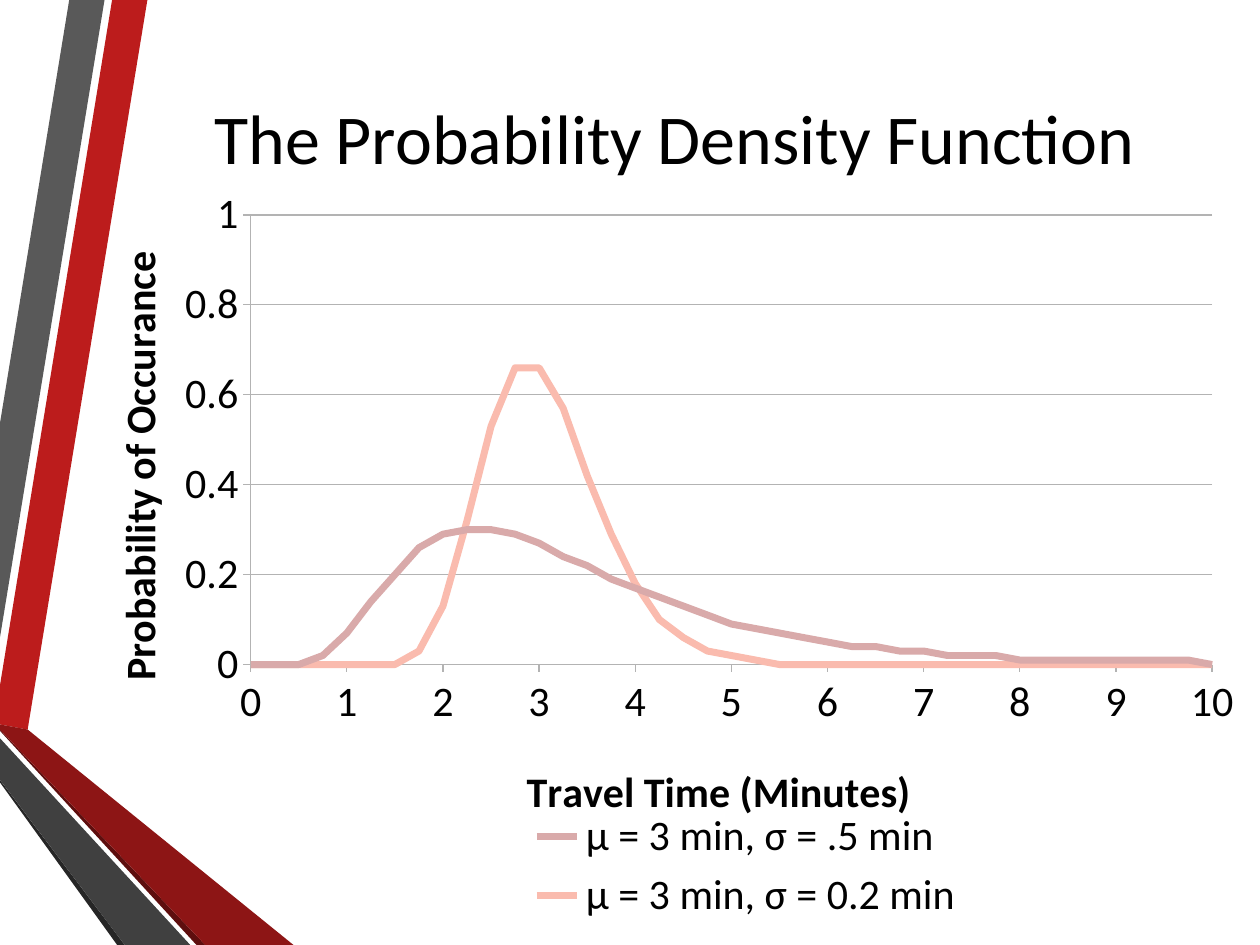
import math

from lxml import etree
from pptx import Presentation
from pptx.chart.data import XyChartData
from pptx.dml.color import RGBColor
from pptx.enum import chart as charts, text
from pptx.oxml.ns import qn
from pptx.util import Inches, Pt

FONT = "Calibri"
BLACK = "000000"
GREY = "B3B3B3"
RIBBONS = [
    ("BC1C1C", [(0, 5.44), (0, 5.75), (0.22, 5.79), (1.17, 0), (0.89, 0)]),
    ("595959", [(0.83, 0), (0.55, 0), (0, 3.36), (0, 5.06)]),
    ("262626", [(0, 6.19), (0, 6.21), (0.93, 7.5), (0.99, 7.5)]),
    ("5E0E0E", [(0, 5.79), (0, 5.8), (1.56, 7.5), (1.63, 7.5)]),
    ("8D1515", [(0, 5.79), (1.63, 7.5), (2.33, 7.5), (0.22, 5.79), (0, 5.75)]),
    ("404040", [(0, 6.19), (0.99, 7.5), (1.51, 7.5), (0, 5.86)]),
]
CURVES = [
    ("μ = 3 min, σ = .5 min", 0.5, "D9AAAA"),
    ("μ = 3 min, σ = 0.2 min", 0.2, "FABBAE"),
]


def color(value):
    return RGBColor.from_string(value)


def style_font(font, size, bold=False):
    font.name = FONT
    font.size = Pt(size)
    font.bold = bold
    font.color.rgb = color(BLACK)


def add_ribbon(page, fill, points):
    corners = [(Inches(x), Inches(y)) for x, y in points]
    builder = page.shapes.build_freeform(*corners[0])
    builder.add_line_segments(corners[1:], close=True)
    ribbon = builder.convert_to_shape()
    ribbon.shadow.inherit = False
    ribbon.fill.solid()
    ribbon.fill.fore_color.rgb = color(fill)
    ribbon.line.fill.background()


def add_title(page, words):
    box = page.shapes.add_textbox(Inches(1.14), 0, Inches(8.43), Inches(2.17))
    frame = box.text_frame
    frame.word_wrap = True
    frame.vertical_anchor = text.MSO_ANCHOR.MIDDLE
    frame.text = words
    para = frame.paragraphs[0]
    para.alignment = text.PP_ALIGN.CENTER
    style_font(para.runs[0].font, 40)


def place(element, **fractions):
    for old in element.findall(qn("c:layout")):
        element.remove(old)
    layout = etree.Element(qn("c:layout"))
    manual = etree.SubElement(layout, qn("c:manualLayout"))
    if "w" in fractions and element.tag == qn("c:plotArea"):
        etree.SubElement(manual, qn("c:layoutTarget"), val="inner")
    for side in ("x", "y"):
        etree.SubElement(manual, qn(f"c:{side}Mode"), val="edge")
    for name, value in fractions.items():
        etree.SubElement(manual, qn(f"c:{name}"), val=str(value))
    overlay = element.find(qn("c:overlay"))
    if overlay is None:
        element.insert(0, layout)
    else:
        overlay.addprevious(layout)


def style_axis(axis, words, top, step, grid, x, y):
    axis.minimum_scale = 0
    axis.maximum_scale = top
    axis.major_unit = step
    axis.major_tick_mark = charts.XL_TICK_MARK.OUTSIDE
    axis.has_major_gridlines = grid
    axis.format.line.color.rgb = color(GREY)
    if grid:
        axis.major_gridlines.format.line.color.rgb = color(GREY)
    axis.tick_labels.number_format = "General"
    axis.tick_labels.number_format_is_linked = False
    style_font(axis.tick_labels.font, 24)
    frame = axis.axis_title.text_frame
    frame.text = words
    style_font(frame.paragraphs[0].runs[0].font, 24, bold=True)
    place(axis.axis_title._element, x=x, y=y)


def lognormal_density(time, median, sigma):
    if time == 0:
        return 0
    deviation = math.log(time / median) / sigma
    return math.exp(-deviation ** 2 / 2) / (time * sigma * math.sqrt(2 * math.pi))


def add_density_chart(page):
    data = XyChartData()
    for name, sigma, _ in CURVES:
        curve = data.add_series(name)
        for step in range(41):
            time = step / 4
            curve.add_data_point(time, round(lognormal_density(time, 3, sigma), 2))
    chart = page.shapes.add_chart(
        charts.XL_CHART_TYPE.XY_SCATTER_SMOOTH_NO_MARKERS,
        Inches(0.62), Inches(1.5), Inches(10), Inches(6.25), data).chart
    style_font(chart.font, 10)
    chart.has_title = False
    chart.plots[0].vary_by_categories = False
    for series, (_, _, stroke) in zip(chart.plots[0].series, CURVES):
        series.smooth = True
        series.marker.style = charts.XL_MARKER_STYLE.NONE
        series.format.line.width = Pt(4)
        series.format.line.color.rgb = color(stroke)
    style_axis(chart.category_axis, "Travel Time (Minutes)", 10, 1, False, 0.35, 0.72)
    style_axis(chart.value_axis, "Probability of Occurance", 1, 0.2, True, 0.02, 0.07)
    chart.has_legend = True
    chart.legend.position = charts.XL_LEGEND_POSITION.RIGHT
    chart.legend.include_in_layout = False
    style_font(chart.legend.font, 24)
    place(chart.legend._element, x=0.35, y=0.78, w=0.36, h=0.16)
    place(chart._chartSpace.chart.plotArea, x=0.137, y=0.033, w=0.763, h=0.571)


def main():
    deck = Presentation()
    deck.slide_width = Inches(10)
    deck.slide_height = Inches(7.5)
    page = deck.slides.add_slide(deck.slide_layouts[6])
    for fill, points in RIBBONS:
        add_ribbon(page, fill, points)
    add_title(page, "The Probability Density Function")
    add_density_chart(page)
    deck.save("out.pptx")


if __name__ == "__main__":
    main()
